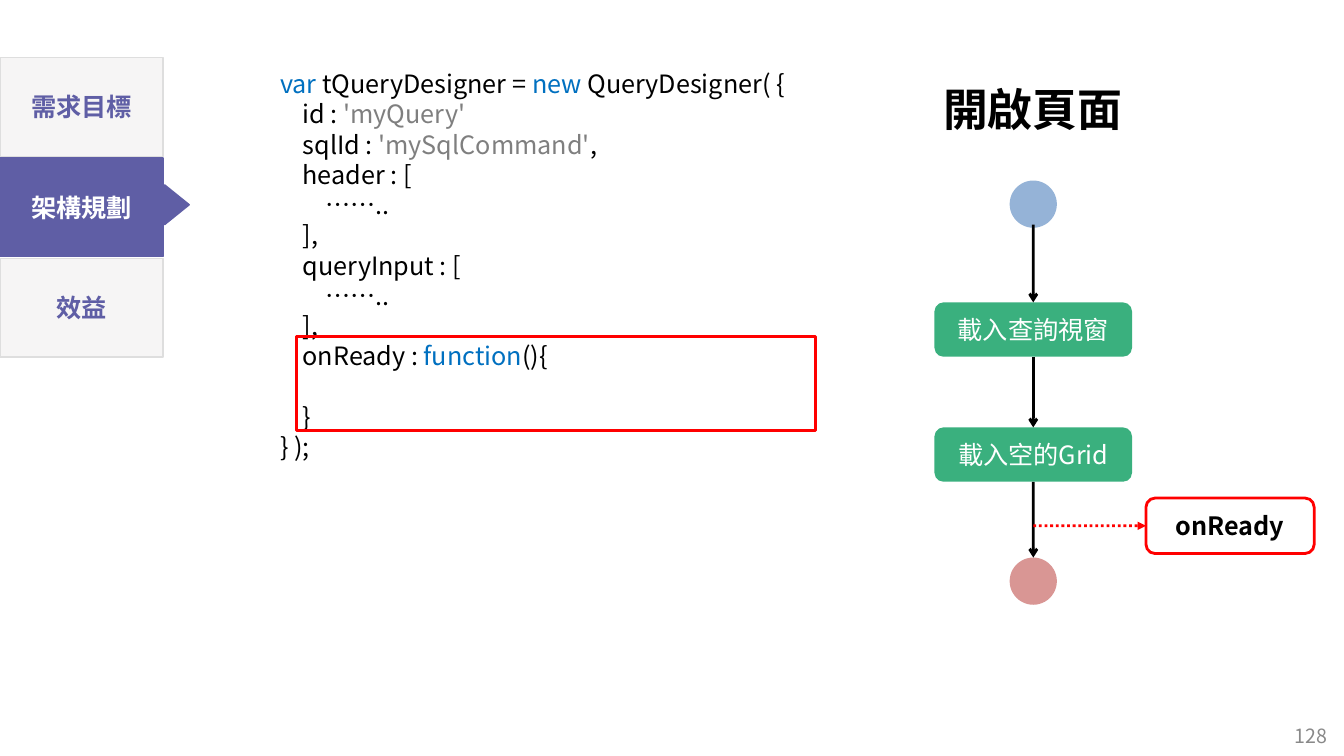
import pptx
import pptx.util
import pptx.dml.color
import pptx.enum.dml
import pptx.enum.shapes
import pptx.enum.text
from lxml import etree
from pptx.oxml.ns import qn

Cm, Pt = pptx.util.Cm, pptx.util.Pt
SHAPE = pptx.enum.shapes.MSO_SHAPE
ALIGN = pptx.enum.text.PP_ALIGN
ANCHOR = pptx.enum.text.MSO_ANCHOR

# Content
FONT = "Noto Sans CJK SC"
BLACK, WHITE, RED = "000000", "FFFFFF", "FF0000"
PURPLE, GREEN, KEYWORD, STRING = "5F5EA5", "3AB07E", "0070C0", "7F7F7F"
PALE, PALE_EDGE = "F6F5F5", "DEDEDE"

chapters = ["需求目標", "架構規劃", "效益"]
current_chapter = "架構規劃"
heading = "開啟頁面"
steps = ["載入查詢視窗", "載入空的Grid"]
event = "onReady"
page_number = "128"
code_lines = [
    [("var", KEYWORD), (" tQueryDesigner = ", BLACK), ("new", KEYWORD), (" QueryDesigner( {", BLACK)],
    [("    id : ", BLACK), ("'myQuery'", STRING)],
    [("    sqlId : ", BLACK), ("'mySqlCommand'", STRING), (",", BLACK)],
    [("    header : [", BLACK)],
    [("        ……..", BLACK)],
    [("    ],", BLACK)],
    [("    queryInput : [", BLACK)],
    [("        ……..", BLACK)],
    [("    ],", BLACK)],
    [("    onReady : ", BLACK), ("function", KEYWORD), ("(){", BLACK)],
    [("    }", BLACK)],
    [("} );", BLACK)],
]
function_end = 10  # one line is left open above this one

# Layout, in centimetres
TAB_TOP, TAB_PITCH, TAB_W, TAB_H = 1.45, 2.53, 4.11, 2.49
AXIS = 26.04
STEP_TOP, STEP_PITCH, STEP_W, STEP_H = 7.62, 3.15, 4.98, 1.37
DOT = 1.19
START_TOP, END_TOP = 4.55, 14.05
EVENT_LEFT, EVENT_TOP, EVENT_W, EVENT_H = 28.88, 12.55, 4.24, 1.4
CODE_PITCH = 21.6  # points

deck = pptx.Presentation()
deck.slide_width, deck.slide_height = Cm(33.87), Cm(19.05)
slide = deck.slides.add_slide(deck.slide_layouts[6])


def rgb(value):
    return pptx.dml.color.RGBColor.from_string(value)


def style(paragraph, size, color=None, bold=False, align=ALIGN.CENTER):
    paragraph.alignment = align
    font = paragraph.font
    font.size, font.name, font.bold = Pt(size), FONT, bold
    if color:
        font.color.rgb = rgb(color)
    defaults = paragraph._p.pPr.find(qn("a:defRPr"))
    etree.SubElement(defaults, qn("a:ea"), typeface=FONT)


def write(frame, text, size, color, bold=False):
    frame.word_wrap = True
    frame.vertical_anchor = ANCHOR.MIDDLE
    frame.text = text
    style(frame.paragraphs[0], size, color, bold)


def box(kind, left, top, width, height, fill=None, edge=None, edge_width=1):
    shape = slide.shapes.add_shape(kind, Cm(left), Cm(top), Cm(width), Cm(height))
    shape.shadow.inherit = False
    if fill:
        shape.fill.solid()
        shape.fill.fore_color.rgb = rgb(fill)
    else:
        shape.fill.background()
    if edge:
        shape.line.color.rgb = rgb(edge)
        shape.line.width = Pt(edge_width)
    else:
        shape.line.fill.background()
    return shape


def text_area(left, top, width, height):
    return slide.shapes.add_textbox(Cm(left), Cm(top), Cm(width), Cm(height)).text_frame


def arrow(x1, y1, x2, y2, color, head, source=None, target=None, dash=None):
    link = slide.shapes.add_connector(
        pptx.enum.shapes.MSO_CONNECTOR.STRAIGHT, Cm(x1), Cm(y1), Cm(x2), Cm(y2))
    if source:
        link.begin_connect(*source)
    if target:
        link.end_connect(*target)
    link.line.color.rgb = rgb(color)
    link.line.width = Pt(2)
    if dash:
        link.line.dash_style = dash
    properties = link._element.spPr
    etree.SubElement(properties.find(qn("a:ln")), qn("a:tailEnd"), type=head)
    etree.SubElement(properties, qn("a:effectLst"))


# Code listing
listing = text_area(6.81, 1.6, 13.74, 10.26)
listing.word_wrap = False
for number, pieces in enumerate(code_lines):
    line = listing.paragraphs[0] if number == 0 else listing.add_paragraph()
    line.line_spacing = Pt(CODE_PITCH)
    if number == function_end:
        line.space_before = Pt(CODE_PITCH)
    same_color = len(pieces) == 1
    style(line, 18, pieces[0][1] if same_color else None, align=ALIGN.LEFT)
    for text, color in pieces:
        run = line.add_run()
        run.text = text
        if not same_color:
            run.font.color.rgb = rgb(color)

# Flow: steps, start and end
step_boxes = []
for number, step in enumerate(steps):
    step_box = box(SHAPE.ROUNDED_RECTANGLE, AXIS - STEP_W / 2, STEP_TOP + number * STEP_PITCH,
                   STEP_W, STEP_H, GREEN)
    write(step_box.text_frame, step, 18, WHITE)
    step_boxes.append(step_box)
first, last = step_boxes
last_bottom = STEP_TOP + STEP_PITCH + STEP_H
box(SHAPE.OVAL, AXIS - DOT / 2, END_TOP, DOT, DOT, "D99694")
box(SHAPE.OVAL, AXIS - DOT / 2, START_TOP, DOT, DOT, "95B3D7")

arrow(AXIS, START_TOP + DOT - 0.08, AXIS, STEP_TOP, BLACK, "arrow", target=(first, 0))
arrow(AXIS, STEP_TOP + STEP_H, AXIS, STEP_TOP + STEP_PITCH, BLACK, "arrow", (first, 2), (last, 0))
arrow(AXIS, last_bottom, AXIS, END_TOP, BLACK, "arrow", source=(last, 2))

# Event raised before the end
event_box = box(SHAPE.ROUNDED_RECTANGLE, EVENT_LEFT, EVENT_TOP, EVENT_W, EVENT_H,
                edge=RED, edge_width=2)
write(event_box.text_frame, event, 18, BLACK, True)
event_middle = EVENT_TOP + EVENT_H / 2
arrow(AXIS, event_middle, EVENT_LEFT, event_middle, RED, "triangle", target=(event_box, 1),
      dash=pptx.enum.dml.MSO_LINE.ROUND_DOT)

# Frame around the callback in the code
box(SHAPE.RECTANGLE, 7.47, 8.48, 13.08, 2.36, edge=RED, edge_width=2)

# Heading
heading_frame = text_area(22.73, 1.93, 6.6, 1.63)
write(heading_frame, heading, 32, BLACK, True)

# Chapter tabs, with a pointer on the current one
for number, chapter in enumerate(chapters):
    active = chapter == current_chapter
    top = TAB_TOP + number * TAB_PITCH
    tab = box(SHAPE.RECTANGLE, 0, top, TAB_W, TAB_H,
              PURPLE if active else PALE, PURPLE if active else PALE_EDGE)
    write(tab.text_frame, chapter, 18, WHITE if active else PURPLE, True)
pointer_top = TAB_TOP + chapters.index(current_chapter) * TAB_PITCH + 0.87
pointer = box(SHAPE.FLOWCHART_EXTRACT, 3.96, pointer_top, 1, 0.62, PURPLE, PURPLE)
pointer.rotation = 90

# Page number
write(text_area(32.13, 18.03, 1.8, 1.02), page_number, 14, "898989")

deck.save("out.pptx")
